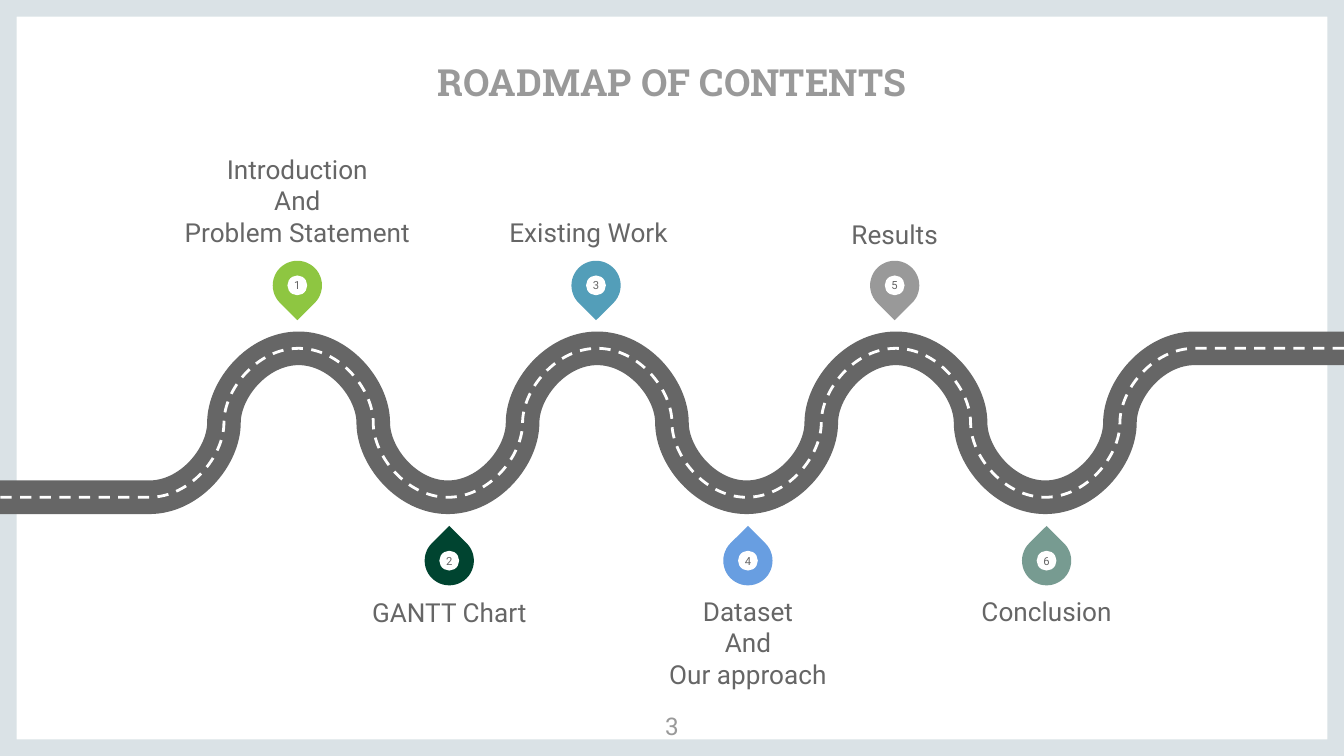
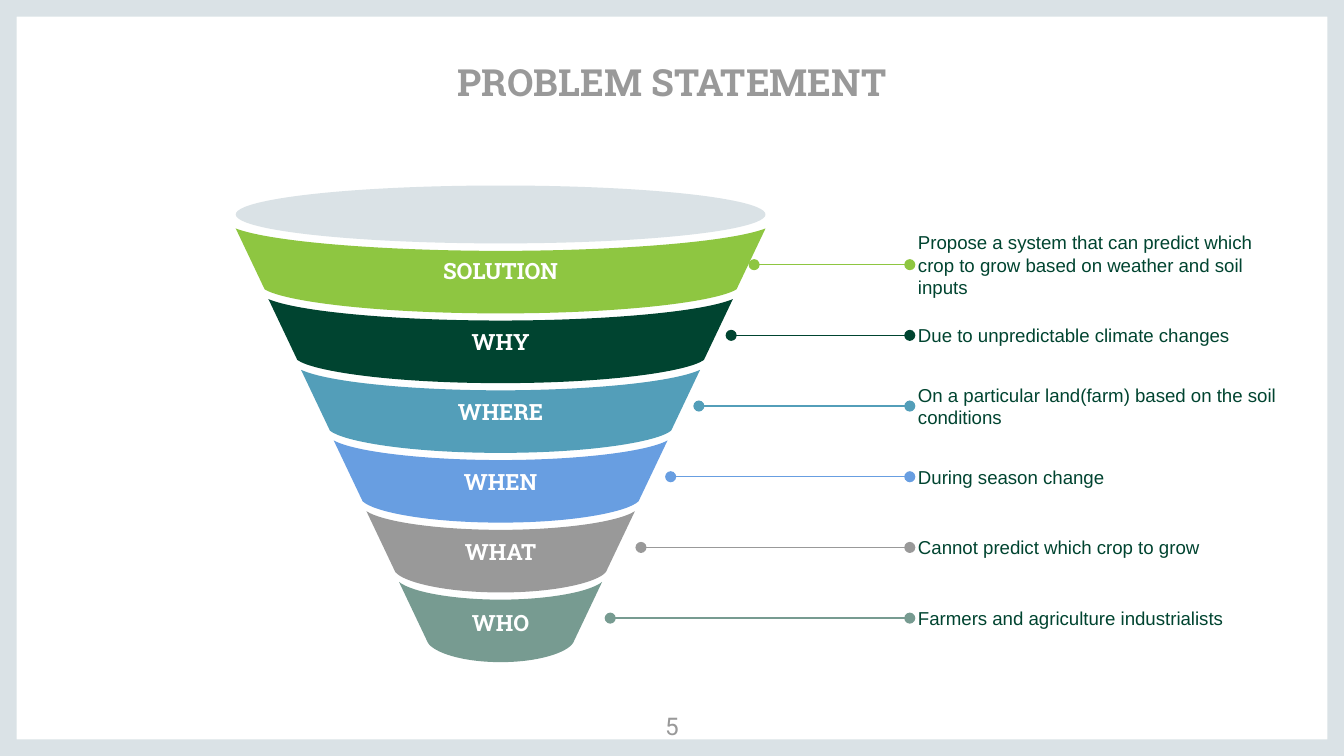
from dataclasses import dataclass
from typing import NamedTuple

from pptx import Presentation
from pptx.dml.color import RGBColor
from pptx.enum.dml import MSO_LINE
from pptx.enum.shapes import MSO_CONNECTOR, MSO_SHAPE
from pptx.enum.text import MSO_ANCHOR as Anchor, PP_ALIGN as Align
from pptx.oxml import parse_xml
from pptx.oxml.ns import nsdecls, qn
from pptx.oxml.xmlchemy import OxmlElement
from pptx.util import Pt


class Box(NamedTuple):
    left: float
    top: float
    width: float
    height: float

    def in_points(self):
        return [Pt(length) for length in self]


class Style(NamedTuple):
    font: str
    size: float
    color: str
    bold: bool = False


@dataclass(frozen=True)
class Theme:
    white: str = "FFFFFF"
    pale: str = "DAE2E6"
    asphalt: str = "666666"
    accents: tuple = ("8EC641", "004430", "539EB9", "689EE1", "999999", "779B91")
    title: Style = Style("Roboto Slab", 20, "999999", True)
    page_number: Style = Style("Roboto", 13, "999999")
    stop: Style = Style("Roboto", 14, "666666")
    pin: Style = Style("Roboto", 6, "666666")
    band: Style = Style("Roboto Slab", 12, "FFFFFF", True)
    answer: Style = Style("Arial", 10, "004430")


class Stop(NamedTuple):
    lines: tuple
    width: float = 101.5
    dx: float = 0
    dy: float = 0


class Band(NamedTuple):
    question: str
    answer: str
    leader_left: float


THEME = Theme()
SLIDE = Box(0, 0, 720, 405)
TITLE = Box(36, 22.3, 648, 40.5)
PAGE_NUMBER = Box(342, 373.7, 36, 31)
ROAD = Box(0, 186.6, 720, 79.8)
FUNNEL = Box(126.3, 99.4, 283.8, 256)
ANSWERS = Box(491.8, 141.8, 192.2, 189.4)

STOPS = (
    Stop(("Introduction", "And", "Problem Statement"), 131),
    Stop(("GANTT Chart",), dy=0.7),
    Stop(("Existing Work",), dx=-4),
    Stop(("Dataset", "And", "Our approach")),
    Stop(("Results",), dy=1.3),
    Stop(("Conclusion",)),
)
BANDS = (
    Band("SOLUTION", "Propose a system that can predict which crop to grow "
         "based on weather and soil inputs", 404),
    Band("WHY", "Due to unpredictable climate changes", 391.7),
    Band("WHERE", "On a particular land(farm) based on the soil conditions", 374.4),
    Band("WHEN", "During season change", 359.3),
    Band("WHAT", "Cannot predict which crop to grow", 343.4),
    Band("WHO", "Farmers and agriculture industrialists", 326.9),
)
BAND_STEP = 37.87


def rgb(color):
    return RGBColor.from_string(color)


def write(shape, lines, style, align=Align.CENTER, anchor=Anchor.MIDDLE, inset=0):
    frame = shape.text_frame
    frame.word_wrap = True
    frame.vertical_anchor = anchor
    frame.margin_left = frame.margin_right = Pt(inset)
    frame.margin_top = frame.margin_bottom = Pt(inset)
    for index, line in enumerate(lines):
        paragraph = frame.add_paragraph() if index else frame.paragraphs[0]
        paragraph.alignment = align
        run = paragraph.add_run()
        run.text = line
        run.font.name = style.font
        run.font.size = Pt(style.size)
        run.font.bold = style.bold
        run.font.color.rgb = rgb(style.color)


def add_text(slide, box, lines, style, **layout):
    write(slide.shapes.add_textbox(*box.in_points()), lines, style, **layout)


def paint(shape, color):
    shape.shadow.inherit = False
    shape.fill.solid()
    shape.fill.fore_color.rgb = rgb(color)
    shape.line.fill.background()


def add_solid(shapes, kind, box, color):
    shape = shapes.add_shape(kind, *box.in_points())
    paint(shape, color)
    return shape


def add_curve(shapes, start, segments, close):
    """Draw segments of one point as straight lines, of three as Bézier curves."""
    builder = shapes.build_freeform(Pt(start[0]), Pt(start[1]))
    builder.add_line_segments(
        [(Pt(x), Pt(y)) for segment in segments for x, y in segment], close)
    shape = builder.convert_to_shape()
    outline = shape._element.find(".//" + qn("a:path"))
    lines = iter(outline.findall(qn("a:lnTo")))
    for segment in segments:
        steps = [next(lines) for _ in segment]
        if len(steps) == 3:
            bezier = OxmlElement("a:cubicBezTo")
            steps[0].addprevious(bezier)
            for step in steps:
                bezier.append(step[0])
                outline.remove(step)
    return shape


def prepare_layout(deck):
    """Leave the shared title and the pale frame on the title-only layout."""
    layout = deck.slide_layouts[5]
    for holder in list(layout.placeholders):
        if holder.placeholder_format.idx:
            holder._element.getparent().remove(holder._element)
    title = layout.placeholders[0]
    title.left, title.top, title.width, title.height = TITLE.in_points()
    return layout


def add_layout_frame(layout, slide):
    frame = add_solid(slide.shapes, MSO_SHAPE.FRAME, SLIDE, THEME.pale)
    frame.adjustments[0] = 0.022
    layout.shapes._spTree.insert(2, frame._element)


def add_slide(deck, layout, title, page):
    slide = deck.slides.add_slide(layout)
    write(slide.shapes.title, [title], THEME.title, anchor=Anchor.BOTTOM, inset=7.2)
    add_text(slide, PAGE_NUMBER, [page], THEME.page_number, anchor=Anchor.TOP, inset=7.2)
    return slide


def road_segments(box, bend):
    """Run from the upper right to the lower left in half waves, one bend wide."""
    radius, tension = bend / 2, 0.55
    middle = box.top + box.height / 2
    levels = (box.top, box.top + box.height)
    x = box.left + box.width - bend
    segments = [[(x, box.top)]]
    for index in range(7):
        here, there = levels[index % 2], levels[(index + 1) % 2]
        turn = x - radius
        segments += [
            [(x - tension * radius, here),
             (turn, middle + (here - middle) * (1 - tension)), (turn, middle)],
            [(turn, middle + (there - middle) * (1 - tension)),
             (x - bend + tension * radius, there), (x - bend, there)],
        ]
        x -= bend
    return segments + [[(box.left, levels[1])]]


def draw_road(slide, box):
    bend = box.width / 9
    segments = road_segments(box, bend)
    for color, width, dash in ((THEME.asphalt, 18, None),
                               (THEME.white, 1.5, MSO_LINE.DASH)):
        strip = add_curve(slide.shapes, (box.left + box.width, box.top), segments, False)
        strip.shadow.inherit = False
        strip.fill.background()
        strip.line.color.rgb = rgb(color)
        strip.line.width = Pt(width)
        if dash:
            strip.line.dash_style = dash


def draw_stops(slide, road):
    pin, dot, label_height = 26.4, 10.6, 41.8
    for index, (stop, color) in enumerate(zip(STOPS, THEME.accents)):
        above = index % 2 == 0
        x = road.left + road.width / 9 * (index + 2) + (-0.7 if above else 0.7)
        y = road.top - 33.7 if above else road.top + road.height + 34
        drop = add_solid(slide.shapes, MSO_SHAPE.TEAR,
                         Box(x - pin / 2, y - pin / 2, pin, pin), color)
        drop.rotation = 135 if above else 315
        number = add_solid(slide.shapes, MSO_SHAPE.OVAL,
                           Box(x - dot / 2, y - dot / 2, dot, dot), THEME.white)
        write(number, [str(index + 1)], THEME.pin)
        label_top = y - 62.2 if above else y + 18.6
        add_text(slide, Box(x - stop.width / 2 + stop.dx, label_top + stop.dy,
                            stop.width, label_height),
                 stop.lines, THEME.stop, anchor=Anchor.BOTTOM if above else Anchor.TOP)


def band_segments(center, top, half, sag):
    """Trace the left side, the bowed base, the right side and the bowed top."""
    corner, thickness, base = top + 32.6, 33.5, half - 15.5
    bottom = top + sag + thickness
    bend = (corner + bottom) / 2
    shoulder = top + 0.63 * sag
    return [
        [(center - base, corner)],
        [(center - 0.92 * base, bend), (center - 0.53 * base, bottom), (center, bottom)],
        [(center + 0.53 * base, bottom), (center + 0.92 * base, bend),
         (center + base, corner)],
        [(center + half, top)],
        [(center + 0.86 * half, shoulder), (center + 0.42 * half, top + sag),
         (center, top + sag)],
        [(center - 0.42 * half, top + sag), (center - 0.86 * half, shoulder),
         (center - half, top)],
    ]


def draw_funnel(slide, box):
    funnel = slide.shapes.add_group_shape().shapes
    center = box.left + box.width / 2
    for index, (band, color) in enumerate(zip(BANDS, THEME.accents)):
        top = box.top + 23 + BAND_STEP * index
        half = box.width / 2 - 17.5 * index
        layer = add_curve(funnel, (center - half, top),
                          band_segments(center, top, half, 12 - 0.5 * index), True)
        paint(layer, color)
        write(layer, [band.question], THEME.band)
    add_solid(funnel, MSO_SHAPE.OVAL, Box(box.left, box.top, box.width, 31), THEME.pale)


def add_leader(slide, left, right, y, color):
    leader = slide.shapes.add_connector(
        MSO_CONNECTOR.STRAIGHT, Pt(left), Pt(y), Pt(right), Pt(y))
    leader.line.color.rgb = rgb(color)
    leader.line.width = Pt(0.75)
    line = leader.line._get_or_add_ln()
    for end in ("headEnd", "tailEnd"):
        line.append(parse_xml(f'<a:{end} {nsdecls("a")} type="oval"/>'))
    leader._element.spPr.append(OxmlElement("a:effectLst"))


def draw_answers(slide, box):
    height = 27.4
    for index, (band, color) in enumerate(zip(BANDS, THEME.accents)):
        y = box.top + BAND_STEP * index
        add_leader(slide, band.leader_left, box.left - 4.4, y, color)
        add_text(slide, Box(box.left, y - height / 2, box.width, height),
                 [band.answer], THEME.answer, align=Align.LEFT)


def main():
    deck = Presentation()
    deck.slide_width, deck.slide_height = Pt(SLIDE.width), Pt(SLIDE.height)
    layout = prepare_layout(deck)

    roadmap = add_slide(deck, layout, "ROADMAP OF CONTENTS", "3")
    add_layout_frame(layout, roadmap)
    draw_road(roadmap, ROAD)
    draw_stops(roadmap, ROAD)

    problem = add_slide(deck, layout, "PROBLEM STATEMENT", "5")
    draw_funnel(problem, FUNNEL)
    draw_answers(problem, ANSWERS)

    deck.save("out.pptx")


if __name__ == "__main__":
    main()
